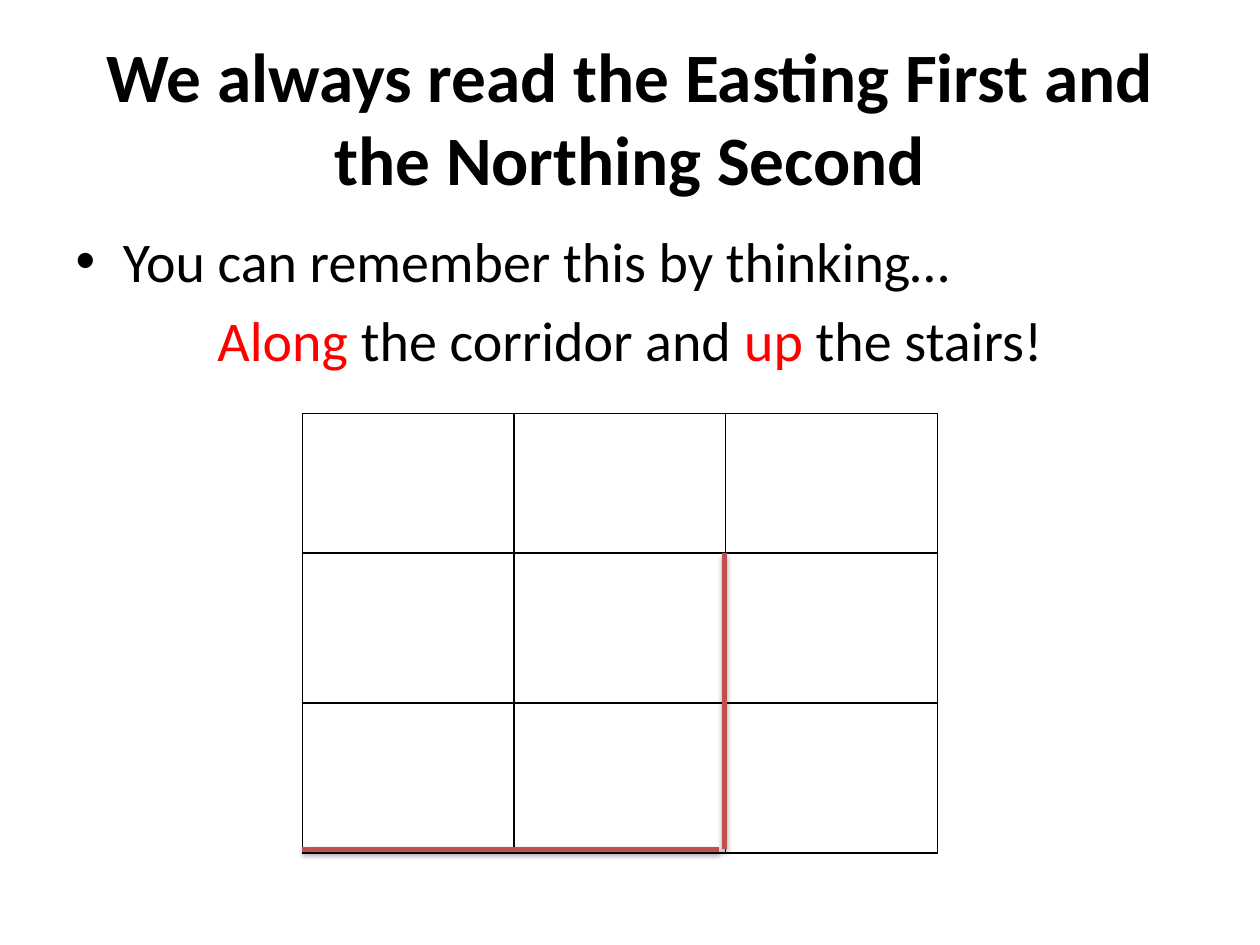
from pptx import Presentation
from pptx.dml.color import RGBColor as Rgb
from pptx.enum.shapes import MSO_CONNECTOR as Conn
from pptx.enum.text import MSO_ANCHOR as Anchor, MSO_AUTO_SIZE as Auto, PP_ALIGN as Align
from pptx.oxml import parse_xml
from pptx.oxml.ns import nsdecls
from pptx.util import Inches, Pt

HUES = {"ink": "000000", "key": "FF0000", "route": "C0504D"}
FONT = "Calibri"
LEFT, TOP = 2.4, 3.28
COL = 1.68
ROWS = [1.11, 1.19, 1.19]
BASE = 6.74


def place(shape, *box):
    shape.left, shape.top, shape.width, shape.height = map(Inches, box)


def style(run, size, hue="ink", bold=False):
    font = run.font
    font.name, font.size, font.bold = FONT, Pt(size), bold
    font.color.rgb = Rgb.from_string(HUES[hue])


def add_title(slide, text):
    title = slide.shapes.title
    place(title, 0.5, 0.3, 9, 1.25)
    frame = title.text_frame
    frame.text = text
    frame.auto_size = Auto.NONE
    frame.vertical_anchor = Anchor.MIDDLE
    para = frame.paragraphs[0]
    para.alignment = Align.CENTER
    style(para.runs[0], 39.6, bold=True)


def add_body(slide, lead, parts):
    body = slide.placeholders[1]
    place(body, 0.5, 1.75, 9, 4.95)
    frame = body.text_frame
    frame.text = lead
    frame.auto_size = Auto.NONE
    style(frame.paragraphs[0].runs[0], 32)
    para = frame.add_paragraph()
    para.alignment = Align.CENTER
    props = para._p.get_or_add_pPr()
    props.set("marL", "0")
    props.set("indent", "0")
    props.append(parse_xml(f"<a:buNone {nsdecls('a')}/>"))
    for text, hue in parts:
        run = para.add_run()
        run.text = text
        style(run, 32, hue)


def add_grid(slide):
    count = len(ROWS)
    frame = slide.shapes.add_table(count, count, *map(Inches, (LEFT, TOP, COL * count, sum(ROWS))))
    table = frame.table
    table.first_row = table.horz_banding = False
    for col in table.columns:
        col.width = Inches(COL)
    for row, high in zip(table.rows, ROWS):
        row.height = Inches(high)
    for cell in table.iter_cells():
        props = cell._tc.get_or_add_tcPr()
        for side in "LRTB":
            props.append(parse_xml(
                f'<a:ln{side} {nsdecls("a")} w="{Pt(1)}"><a:solidFill>'
                f'<a:srgbClr val="{HUES["ink"]}"/></a:solidFill></a:ln{side}>'))
        cell.fill.background()


def add_leg(slide, *ends):
    leg = slide.shapes.add_connector(Conn.STRAIGHT, *map(Inches, ends))
    leg.line.color.rgb = Rgb.from_string(HUES["route"])
    leg.line.width = Pt(3)
    leg._element.spPr.append(parse_xml(
        f'<a:effectLst {nsdecls("a")}><a:outerShdw blurRad="{Pt(3.1)}" dist="{Pt(1.8)}" '
        f'dir="5400000" rotWithShape="0"><a:srgbClr val="{HUES["ink"]}">'
        '<a:alpha val="35000"/></a:srgbClr></a:outerShdw></a:effectLst>'))


def main():
    deck = Presentation()
    deck.slide_width, deck.slide_height = Inches(10), Inches(7.5)
    slide = deck.slides.add_slide(deck.slide_layouts[1])
    add_title(slide, "We always read the Easting First and the Northing Second")
    add_body(slide, "You can remember this by thinking…", [
        ("Along", "key"), (" the corridor and ", "ink"),
        ("up", "key"), (" the stairs!", "ink")])
    add_grid(slide)
    turn = LEFT + 2 * COL
    add_leg(slide, LEFT, BASE, turn - 0.05, BASE)
    add_leg(slide, turn - 0.01, BASE, turn - 0.01, TOP + ROWS[0])
    deck.save("out.pptx")


if __name__ == "__main__":
    main()
